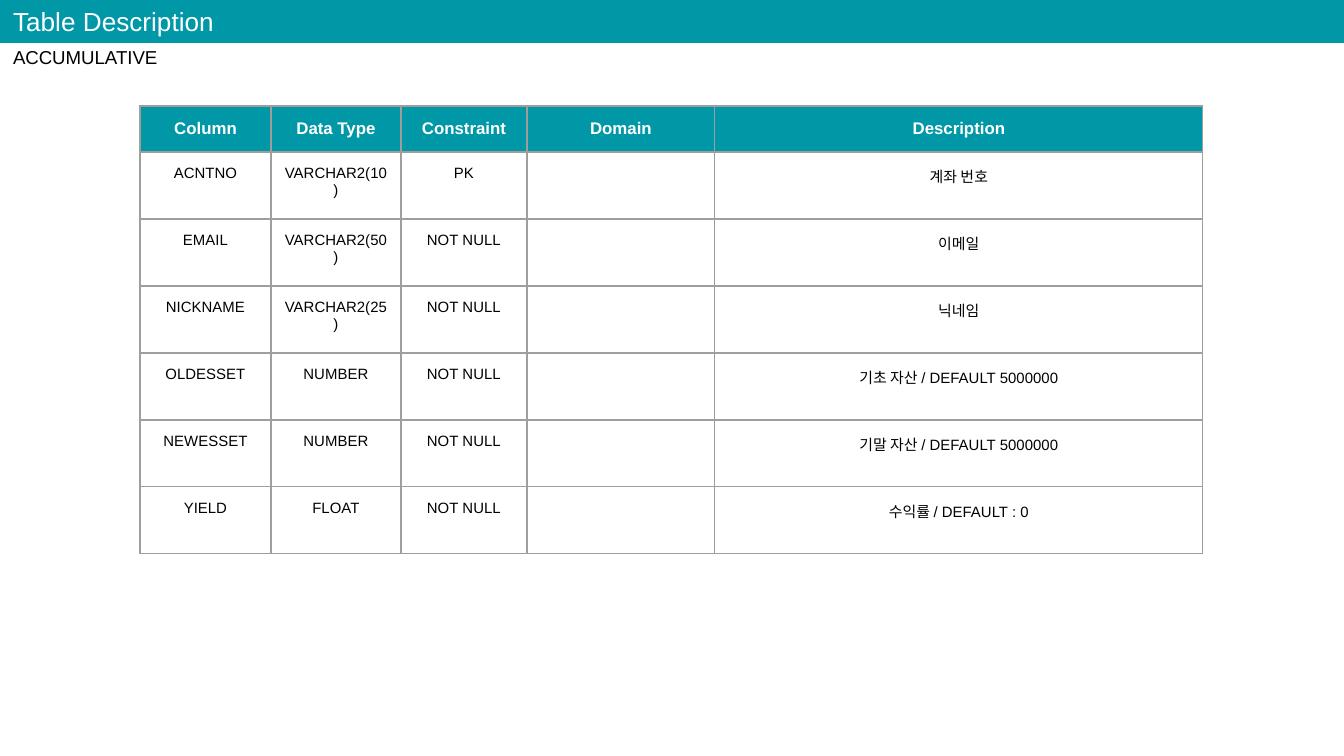
from dataclasses import dataclass

from lxml import etree
from pptx import Presentation
from pptx.dml.color import RGBColor
from pptx.enum.shapes import MSO_SHAPE
from pptx.enum.text import PP_ALIGN
from pptx.oxml.ns import qn
from pptx.util import Emu, Pt

RECTANGLE = MSO_SHAPE.RECTANGLE
LEFT, CENTER = PP_ALIGN.LEFT, PP_ALIGN.CENTER
EMU_PER_PIXEL = 914400 / 134.4
TEAL, WHITE, BLACK, GRAY = "0097A7", "FFFFFF", "000000", "9E9E9E"
FONT = "Arial"
INSET = 13
HEADER_HEIGHT, FIELD_HEIGHT = 46, 64
HEADINGS = ("Column", "Data Type", "Constraint", "Domain", "Description")
COLUMN_WIDTHS = (131, 130, 126, 188, 488)


@dataclass
class Field:
    """One column of the described database table."""
    name: str
    data_type: str
    constraint: str
    description: str
    domain: str = ""

    def cells(self) -> tuple:
        """Return the values in the order of the headings."""
        return (self.name, self.data_type, self.constraint,
                self.domain, self.description)


@dataclass
class Label:
    """A line of text at the top of the slide."""
    text: str
    top: int
    height: int
    size: int
    color: str


FIELDS = (
    Field("ACNTNO", "VARCHAR2(10)", "PK", "계좌 번호"),
    Field("EMAIL", "VARCHAR2(50)", "NOT NULL", "이메일"),
    Field("NICKNAME", "VARCHAR2(25)", "NOT NULL", "닉네임"),
    Field("OLDESSET", "NUMBER", "NOT NULL", "기초 자산 / DEFAULT 5000000"),
    Field("NEWESSET", "NUMBER", "NOT NULL", "기말 자산 / DEFAULT 5000000"),
    Field("YIELD", "FLOAT", "NOT NULL", "수익률 / DEFAULT : 0"),
)
LABELS = (
    Label("ACCUMULATIVE", 35, 50, 10, BLACK),
    Label("Table Description", -8, 59, 14, WHITE),
)


def px(pixels: int) -> Emu:
    """Turn pixels into EMU."""
    return Emu(round(pixels * EMU_PER_PIXEL))


def rgb(color: str) -> RGBColor:
    """Turn a hex string into a colour."""
    return RGBColor.from_string(color)


def write(frame, text: str, *, size: int, color: str,
          bold: bool = False, align=LEFT) -> None:
    """Put formatted text into a text frame."""
    paragraph = frame.paragraphs[0]
    paragraph.alignment = align
    run = paragraph.add_run()
    run.text = text
    run.font.name, run.font.size, run.font.bold = FONT, Pt(size), bold
    run.font.color.rgb = rgb(color)


def set_insets(box) -> None:
    """Give a cell or text frame equal insets."""
    box.margin_left = box.margin_right = px(INSET)
    box.margin_top = box.margin_bottom = px(INSET)


def add_borders(cell) -> None:
    """Draw thin gray lines on all sides of a cell."""
    properties = cell._tc.get_or_add_tcPr()
    for index, side in enumerate(("lnL", "lnR", "lnT", "lnB")):
        line = etree.Element(qn(f"a:{side}"), w=str(Pt(0.75)))
        fill = etree.SubElement(line, qn("a:solidFill"))
        etree.SubElement(fill, qn("a:srgbClr"), val=GRAY)
        properties.insert(index, line)


def fill_row(table, index: int, values: tuple, height: int, **text_format) -> None:
    """Fill one table row and style its cells."""
    table.rows[index].height = px(height)
    for cell, value in zip(table.rows[index].cells, values):
        set_insets(cell)
        if index == 0:
            cell.fill.solid()
            cell.fill.fore_color.rgb = rgb(TEAL)
        else:
            cell.fill.background()
        add_borders(cell)
        if value:
            write(cell.text_frame, value, align=CENTER, **text_format)


def add_field_table(slide) -> None:
    """Add the table of fields."""
    height = HEADER_HEIGHT + FIELD_HEIGHT * len(FIELDS)
    table = slide.shapes.add_table(
        len(FIELDS) + 1, len(HEADINGS), px(140), px(106),
        px(sum(COLUMN_WIDTHS)), px(height)).table
    table.horz_banding = False
    for column, width in zip(table.columns, COLUMN_WIDTHS):
        column.width = px(width)
    fill_row(table, 0, HEADINGS, HEADER_HEIGHT, size=9, color=WHITE, bold=True)
    for index, field in enumerate(FIELDS, start=1):
        fill_row(table, index, field.cells(), FIELD_HEIGHT, size=8, color=BLACK)


def add_title_bar(slide) -> None:
    """Add the coloured bar across the top."""
    bar = slide.shapes.add_shape(RECTANGLE, 0, 0, px(1344), px(43))
    bar.shadow.inherit = False
    bar.fill.solid()
    bar.fill.fore_color.rgb = rgb(TEAL)
    bar.line.fill.background()


def add_label(slide, label: Label) -> None:
    """Add a line of text at the left edge."""
    frame = slide.shapes.add_textbox(
        0, px(label.top), px(379), px(label.height)).text_frame
    frame.word_wrap = True
    set_insets(frame)
    write(frame, label.text, size=label.size, color=label.color)


def main() -> None:
    """Build and save the slide."""
    presentation = Presentation()
    presentation.slide_width, presentation.slide_height = px(1344), px(756)
    slide = presentation.slides.add_slide(presentation.slide_layouts[6])
    add_field_table(slide)
    add_title_bar(slide)
    for label in LABELS:
        add_label(slide, label)
    presentation.save("out.pptx")


main()
